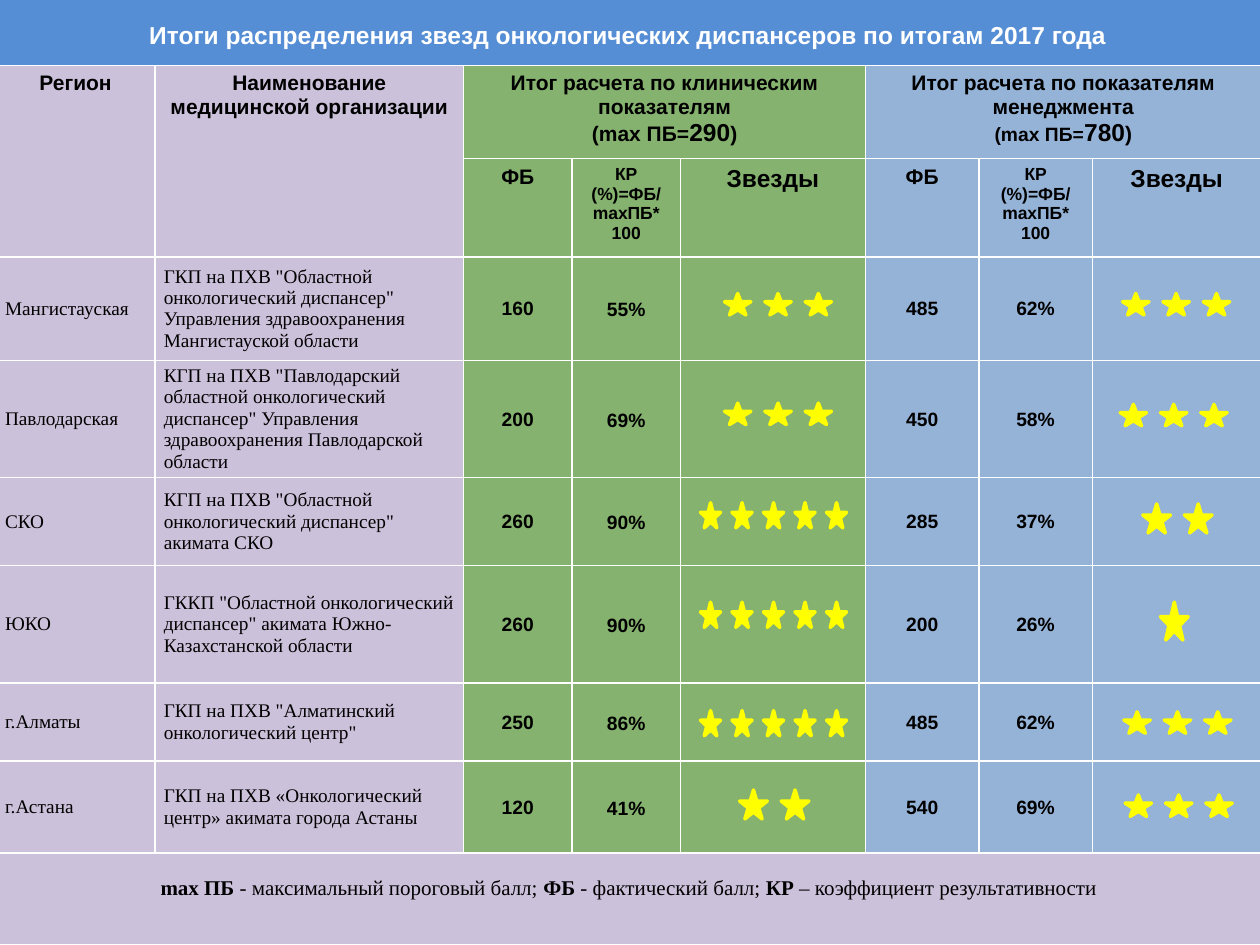
from lxml.etree import SubElement as Sub
from pptx import Presentation
from pptx.dml.color import RGBColor as Rgb
from pptx.enum.shapes import MSO_SHAPE as Shape
from pptx.enum.text import MSO_ANCHOR as Anchor, PP_ALIGN as Align
from pptx.oxml.ns import qn
from pptx.util import Inches, Pt

HUES = {"bar": "558ED5", "lilac": "CCC1DA", "green": "85B26E",
        "blue": "95B3D7", "star": "FFFF00", "white": "FFFFFF", "black": "000000"}
SANS, SERIF = "Arial", "Times New Roman"
COLS = [1.26, 2.45, 0.86, 0.86, 1.47, 0.9, 0.9, 1.34]
ROWS = [0.74, 0.78, 0.82, 0.93, 0.7, 0.93, 0.62, 0.73, 0.73]
FILLS = ["lilac"] * 2 + ["green"] * 3 + ["blue"] * 3
HEAD = {"name": SANS, "size": Pt(12), "bold": True}
BODY = {"name": SERIF, "size": Pt(11), "bold": False}
MARK = {**BODY, "name": SANS, "bold": True}
NOTE = {**BODY, "size": Pt(12)}
WIDE = (0.07, 0, 0.07, 0)
TIGHT = (0.01, 0.01, 0.01, 0)

DATA = [
    ("Мангистауская", 'ГКП на ПХВ "Областной онкологический диспансер" '
     "Управления здравоохранения Мангистауской области", "160", "55%", "485", "62%"),
    ("Павлодарская", 'КГП на ПХВ "Павлодарский областной онкологический диспансер" '
     "Управления здравоохранения Павлодарской области", "200", "69%", "450", "58%"),
    ("СКО", 'КГП на ПХВ "Областной онкологический диспансер" акимата СКО',
     "260", "90%", "285", "37%"),
    ("ЮКО", 'ГККП "Областной онкологический диспансер" акимата '
     "Южно-Казахстанской области", "260", "90%", "200", "26%"),
    ("г.Алматы", 'ГКП на ПХВ "Алматинский онкологический центр"',
     "250", "86%", "485", "62%"),
    ("г.Астана", "ГКП на ПХВ «Онкологический центр» акимата города Астаны",
     "120", "41%", "540", "69%"),
]
SIZES = {1: (0.22, 0.3, 0), 2: (0.22, 0.23, 0.33),
         3: (0.21, 0.17, 0.32), 5: (0.16, 0.2, 0.25)}
STARS = [(3, 5.75, 2.33), (3, 5.75, 3.2), (5, 5.56, 3.99), (5, 5.56, 4.78),
         (5, 5.56, 5.64), (2, 5.87, 6.27), (3, 8.91, 2.33), (3, 8.89, 3.21),
         (2, 9.07, 4), (1, 9.21, 4.78), (3, 8.92, 5.65), (3, 8.93, 6.31)]


def paint(part, hue):
    part.fill.solid()
    part.fill.fore_color.rgb = Rgb.from_string(HUES[hue])


def write(para, runs, align=Align.CENTER, hue="black"):
    para.alignment = align
    for text, form in runs:
        run = para.add_run()
        run.text = text
        for key, val in form.items():
            setattr(run.font, key, val)
        run.font.color.rgb = Rgb.from_string(HUES[hue])


def edge(cell):
    props = cell._tc.get_or_add_tcPr()
    for pos, side in enumerate(("lnL", "lnR", "lnT", "lnB")):
        line = props.makeelement(qn("a:" + side), {"w": str(Pt(1))})
        fill = Sub(line, qn("a:solidFill"))
        Sub(fill, qn("a:srgbClr"), val=HUES["white"])
        props.insert(pos, line)


def pad(cell, gaps):
    cell.vertical_anchor = Anchor.MIDDLE
    for side, gap in zip(("left", "top", "right", "bottom"), gaps):
        setattr(cell, "margin_" + side, Inches(gap))


def add_title(slide):
    bar = slide.shapes.add_shape(Shape.RECTANGLE, Inches(-0.03), 0,
                                 Inches(10.03), Inches(0.55))
    bar.shadow.inherit = False
    bar.line.fill.background()
    paint(bar, "bar")
    bar.text_frame.vertical_anchor = Anchor.MIDDLE
    text = "Итоги распределения звезд онкологических диспансеров по итогам 2017 года"
    write(bar.text_frame.paragraphs[0], [(text, {**HEAD, "size": Pt(14)})], hue="white")


def add_grid(slide):
    grid = slide.shapes.add_table(len(ROWS), len(COLS), Inches(-0.03), Inches(0.52),
                                  Inches(sum(COLS)), Inches(sum(ROWS))).table
    for col, wide in zip(grid.columns, COLS):
        col.width = Inches(wide)
    for row, high in zip(grid.rows, ROWS):
        row.height = Inches(high)
        for cell, hue in zip(row.cells, FILLS):
            paint(cell, hue)
            edge(cell)
    paint(grid.cell(len(ROWS) - 1, 0), "lilac")
    return grid


def fill_head(grid):
    for col, text in enumerate(("Регион", "Наименование медицинской организации")):
        cell = grid.cell(0, col)
        cell.merge(grid.cell(1, col))
        write(cell.text_frame.paragraphs[0], [(text, HEAD)])
    big, small = {**HEAD, "size": Pt(14)}, {**HEAD, "size": Pt(10)}
    groups = [(2, "Итог расчета по клиническим показателям", "290", 12),
              (5, "Итог расчета по показателям менеджмента", "780", 11)]
    for col, text, top, size in groups:
        cell = grid.cell(0, col)
        cell.merge(grid.cell(0, col + 2))
        frame = cell.text_frame
        write(frame.paragraphs[0], [(text, HEAD)])
        write(frame.add_paragraph(), [("(mах ПБ=", {**HEAD, "size": Pt(size)}),
                                      (top, big), (")", HEAD)])
        subs = [("ФБ", HEAD), ("КР (%)=ФБ/ mахПБ* 100", small), ("Звезды", big)]
        for step, pair in enumerate(subs):
            write(grid.cell(1, col + step).text_frame.paragraphs[0], [pair])


def fill_body(grid):
    for row, texts in enumerate(DATA, 2):
        for col, text in zip((0, 1, 2, 3, 5, 6), texts):
            cell = grid.cell(row, col)
            para = cell.text_frame.paragraphs[0]
            pad(cell, WIDE if col in (0, 1, 3) else TIGHT)
            if col < 2:
                write(para, [(text, BODY)], Align.LEFT)
            else:
                write(para, [(text, MARK)])
            if col == 3:
                para.line_spacing = 1.15


def fill_note(grid):
    last = len(ROWS) - 1
    cell = grid.cell(last, 0)
    cell.merge(grid.cell(last, len(COLS) - 1))
    pad(cell, (0.07, 0, 0.07, 0.16))
    bold = {**NOTE, "bold": True}
    write(cell.text_frame.paragraphs[0], [
        ("mах ПБ ", bold), ("- максимальный пороговый балл; ", NOTE),
        ("ФБ", bold), (" - фактический балл; ", NOTE),
        ("КР", bold), (" – коэффициент результативности", NOTE)])


def add_stars(slide, count, left, top):
    wide, high, step = SIZES[count]
    home = slide.shapes if count == 1 else slide.shapes.add_group_shape().shapes
    for num in range(count):
        star = home.add_shape(Shape.STAR_5_POINT, Inches(left + num * step),
                              Inches(top), Inches(wide), Inches(high))
        star.shadow.inherit = False
        paint(star, "star")
        paint(star.line, "star")
        star.line.width = Pt(2)


def main():
    deck = Presentation()
    deck.slide_width, deck.slide_height = Inches(10), Inches(7.5)
    slide = deck.slides.add_slide(deck.slide_layouts[6])
    add_title(slide)
    grid = add_grid(slide)
    fill_head(grid)
    fill_body(grid)
    fill_note(grid)
    for count, left, top in STARS:
        add_stars(slide, count, left, top)
    deck.save("out.pptx")


if __name__ == "__main__":
    main()
